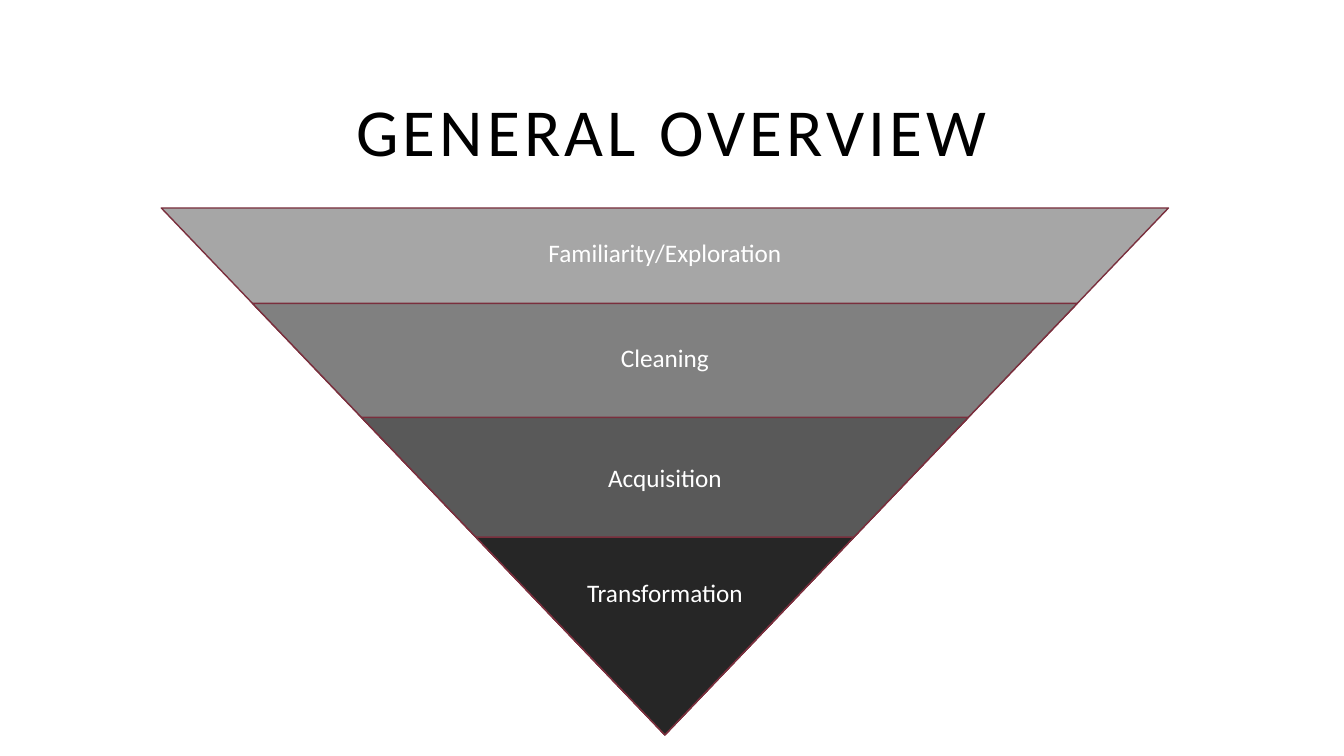
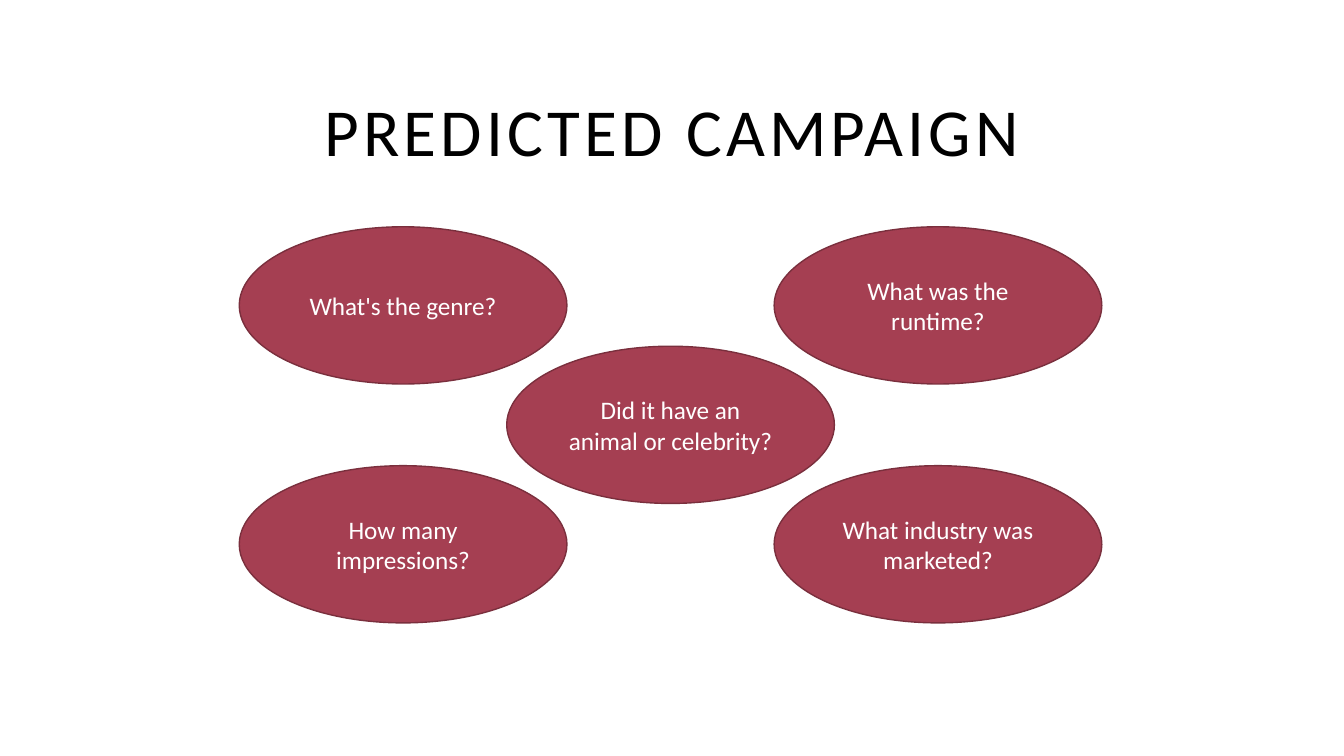
from pptx import Presentation
from pptx.dml.color import RGBColor as Rgb
from pptx.enum.shapes import MSO_SHAPE as Geo
from pptx.enum.text import MSO_ANCHOR as Anchor, MSO_AUTO_SIZE as Fit, PP_ALIGN as Align
from pptx.util import Inches, Pt

HUES = {
    "ink": "000000", "paper": "FFFFFF", "rose": "A53F52", "edge": "7A2F3D",
    "pale": "A6A6A6", "mid": "808080", "dark": "595959", "deep": "262626",
}
FONTS = {
    "title": {"name": "Calibri", "size": Pt(48), "bold": False},
    "body": {"name": "Calibri", "size": Pt(18), "bold": False},
}
FRAME = {"word_wrap": True, "auto_size": Fit.NONE}


def assign(obj, values):
    for name, value in values.items():
        setattr(obj, name, value)


class Deck:
    """Shared style and current slide; lengths are percent of the slide's size."""

    def __init__(self):
        self.prs = Presentation()
        assign(self.prs, {"slide_width": Inches(13.33), "slide_height": Inches(7.5)})
        self.slide = None

    def box(self, left, top, width, height):
        wide, high = self.prs.slide_width, self.prs.slide_height
        return [int(share * full / 100) for share, full in
                ((left, wide), (top, high), (width, wide), (height, high))]

    def letter(self, shape, text, font="body", hue="paper", anchor=Anchor.MIDDLE):
        """Put centred text in a shape and return its run."""
        frame = shape.text_frame
        assign(frame, {**FRAME, "vertical_anchor": anchor})
        para = frame.paragraphs[0]
        para.alignment = Align.CENTER
        run = para.add_run()
        run.text = text
        assign(run.font, FONTS[font])
        run.font.color.rgb = Rgb.from_string(HUES[hue])
        return run

    def page(self, text):
        """Start a slide with a spaced, centred title."""
        self.slide = self.prs.slides.add_slide(self.prs.slide_layouts[5])
        title = self.slide.shapes.title
        spots = self.box(4.88, 11.2, 90.25, 12)
        assign(title, dict(zip(("left", "top", "width", "height"), spots)))
        run = self.letter(title, text, "title", "ink")
        run._r.get_or_add_rPr().set("spc", "300")

    def shape(self, geo, spot, hue, text="", turn=0):
        item = self.slide.shapes.add_shape(geo, *self.box(*spot))
        item.shadow.inherit = False
        item.rotation = turn
        item.fill.solid()
        item.fill.fore_color.rgb = Rgb.from_string(HUES[hue])
        item.line.color.rgb = Rgb.from_string(HUES["edge"])
        item.line.width = Pt(1)
        if text:
            self.letter(item, text)

    def label(self, spot, text):
        item = self.slide.shapes.add_textbox(*self.box(*spot))
        self.letter(item, text, anchor=Anchor.TOP)


def funnel(deck):
    """Nested triangles that share one tip, with a label on each band."""
    deck.page("GENERAL OVERVIEW")
    mid, tip, ratio, wide = 49.47, 97.2, 0.93, 30
    bands = [
        (74.94, "pale", 30.8, "Familiarity/Exploration"),
        (61.37, "mid", 44.67, "Cleaning"),
        (45.16, "dark", 60.53, "Acquisition"),
        (28.13, "deep", 75.73, "Transformation"),
    ]
    for width, hue, _, _ in bands:
        high = width * ratio
        deck.shape(Geo.ISOSCELES_TRIANGLE, (mid - width / 2, tip - high, width, high),
                   hue, turn=180)
    for _, _, top, text in bands:
        deck.label((mid - wide / 2, top, wide, 5.33), text)


def quiz(deck):
    """Ovals at the corners and centre of a three by three grid."""
    deck.page("PREDICTED CAMPAIGN")
    ovals = [
        (0, 0, "What's the genre?"),
        (1, 1, "Did it have an animal or celebrity?"),
        (2, 0, "What was the runtime?"),
        (2, 2, "What industry was marketed?"),
        (0, 2, "How many impressions?"),
    ]
    for col, row, text in ovals:
        spot = (17.8 + 19.9 * col, 30 + 15.8 * row, 24.38, 20.8)
        deck.shape(Geo.OVAL, spot, "rose", text)


def main():
    deck = Deck()
    funnel(deck)
    quiz(deck)
    deck.prs.save("out.pptx")


if __name__ == "__main__":
    main()
